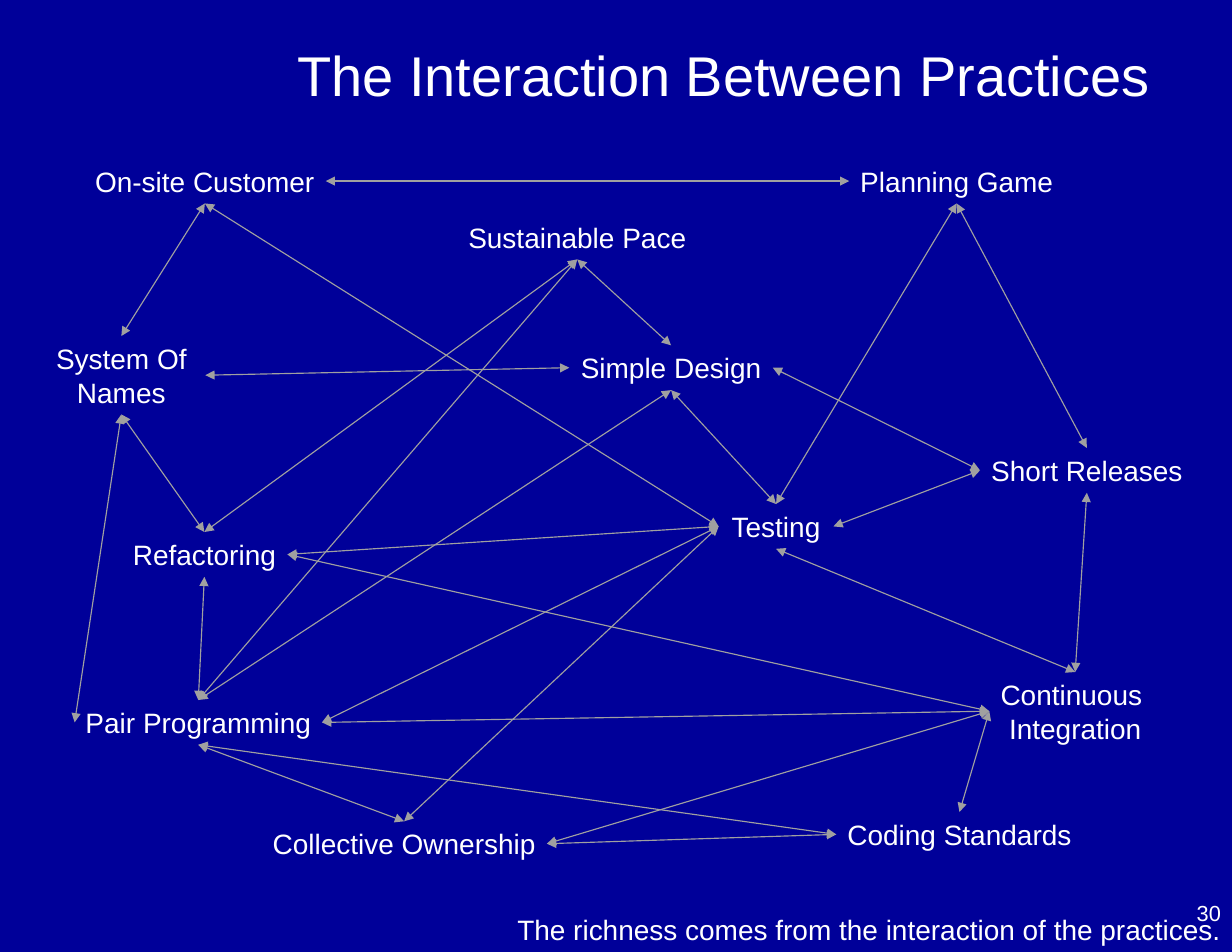
from dataclasses import dataclass
from lxml import etree
from pptx import Presentation
from pptx.dml.color import RGBColor
from pptx.enum.shapes import MSO_CONNECTOR
from pptx.enum.text import MSO_AUTO_SIZE, PP_ALIGN
from pptx.oxml.ns import qn
from pptx.util import Inches, Pt

LINE = MSO_CONNECTOR.STRAIGHT
GROW = MSO_AUTO_SIZE.SHAPE_TO_FIT_TEXT
FIXED = MSO_AUTO_SIZE.NONE
LEFT, MID, RIGHT = PP_ALIGN.LEFT, PP_ALIGN.CENTER, PP_ALIGN.RIGHT
TOP, WEST, BASE, EAST = range(4)
WIDE, HIGH = 11, 8.5
CELL = 1 / 12


@dataclass(frozen=True)
class Theme:
    back: str = "000099"
    ink: str = "FFFFFF"
    wire: str = "A0A0A0"
    face: str = "Arial"
    head: int = 36
    body: int = 18
    small: int = 14
    rule: float = 0.75


THEME = Theme()

NODES = {
    "site": ("On-site Customer", 5, 0, 25.9),
    "join": ("Continuous \nIntegration", 102, 55, 18.4),
    "own": ("Collective Ownership", 24, 71, 30.6),
    "code": ("Coding Standards", 85.6, 70, 26.4),
    "ship": ("Short Releases", 101, 31, 22.9),
    "test": ("Testing", 73, 37, 12.3),
    "pair": ("Pair Programming", 4, 58, 26.5),
    "plain": ("Simple Design", 57, 20, 21.8),
    "clean": ("Refactoring", 9, 40, 17.8),
    "names": ("System Of Names", 0, 19, 18),
    "pace": ("Sustainable Pace", 45, 6, 25.7),
    "plan": ("Planning Game", 87, 0, 23),
}
TALL = {"join", "names"}

LINKS = [
    ("site", EAST, "plan", WEST),
    ("site", BASE, "names", TOP),
    ("names", BASE, "pair", WEST),
    ("names", BASE, "clean", TOP),
    ("site", BASE, "test", WEST),
    ("plan", BASE, "test", TOP),
    ("plan", BASE, "ship", TOP),
    ("plain", WEST, "names", EAST),
    ("plain", EAST, "ship", WEST),
    ("ship", WEST, "test", EAST),
    ("ship", BASE, "join", TOP),
    ("code", WEST, "pair", BASE),
    ("code", WEST, "own", EAST),
    ("own", EAST, "join", WEST),
    ("code", TOP, "join", WEST),
    ("pair", EAST, "join", WEST),
    ("clean", EAST, "join", WEST),
    ("test", BASE, "join", TOP),
    ("pace", BASE, "plain", TOP),
    ("pace", BASE, "clean", TOP),
    ("pace", BASE, "pair", TOP),
    ("test", TOP, "plain", BASE),
    ("test", WEST, "clean", EAST),
    ("test", WEST, "pair", EAST),
    ("test", WEST, "own", TOP),
    ("pair", BASE, "own", TOP),
    ("pair", TOP, "plain", BASE),
    ("pair", TOP, "clean", BASE),
]


def write(slide, text, box, size=THEME.body, align=LEFT, wrap=False,
          fit=GROW, pad=(0.1, 0.05)):
    shape = slide.shapes.add_textbox(*map(Inches, box))
    frame = shape.text_frame
    frame.margin_left = frame.margin_right = Inches(pad[0])
    frame.margin_top = frame.margin_bottom = Inches(pad[1])
    frame.word_wrap = wrap
    frame.auto_size = fit
    frame.text = text
    for para in frame.paragraphs:
        para.alignment = align
        para.font.name = THEME.face
        para.font.size = Pt(size)
        para.font.color.rgb = RGBColor.from_string(THEME.ink)
    return shape


def link(slide, start, exit, end, entry):
    wire = slide.shapes.add_connector(LINE, 0, 0, 0, 0)
    wire.begin_connect(start, exit)
    wire.end_connect(end, entry)
    wire.line.width = Pt(THEME.rule)
    wire.line.color.rgb = RGBColor.from_string(THEME.wire)
    stroke = wire.line._get_or_add_ln()
    for tip in ("a:headEnd", "a:tailEnd"):
        etree.SubElement(stroke, qn(tip), type="triangle")
    etree.SubElement(wire._element.spPr, qn("a:effectLst"))


def draw_web(slide, box):
    left, top = box[:2]
    nodes = {}
    for key, (text, col, row, span) in NODES.items():
        spot = (left + col * CELL, top + row * CELL, span * CELL,
                0.7 if key in TALL else 0.4)
        nodes[key] = write(slide, text, spot, align=MID, wrap=key == "names",
                           fit=FIXED, pad=(0.04, 0.05))
    for start, exit, end, entry in LINKS:
        link(slide, nodes[start], exit, nodes[end], entry)


def draw_head(slide, box):
    write(slide, "The Interaction Between Practices", box,
          size=THEME.head, wrap=True, pad=(0.07, 0.03))


def draw_foot(slide, box):
    left, top, width, height = box
    write(slide, "The richness comes from the interaction of the practices.",
          (left, top + 0.12, width, 0.4))
    span = width * 0.36
    write(slide, "30", (left + width - span, top, span, height),
          size=THEME.small, align=RIGHT, wrap=True, fit=FIXED)


def main():
    deck = Presentation()
    deck.slide_width, deck.slide_height = Inches(WIDE), Inches(HIGH)
    slide = deck.slides.add_slide(deck.slide_layouts[6])
    fill = slide.background.fill
    fill.solid()
    fill.fore_color.rgb = RGBColor.from_string(THEME.back)
    draw_head(slide, (31 * CELL, 4 * CELL, 97 * CELL, 0.65))
    draw_web(slide, (4 * CELL, 17 * CELL, 124 * CELL, 76 * CELL))
    draw_foot(slide, (WIDE - 6.48, HIGH - 0.52, 6.48, 0.52))
    deck.save("out.pptx")


if __name__ == "__main__":
    main()
